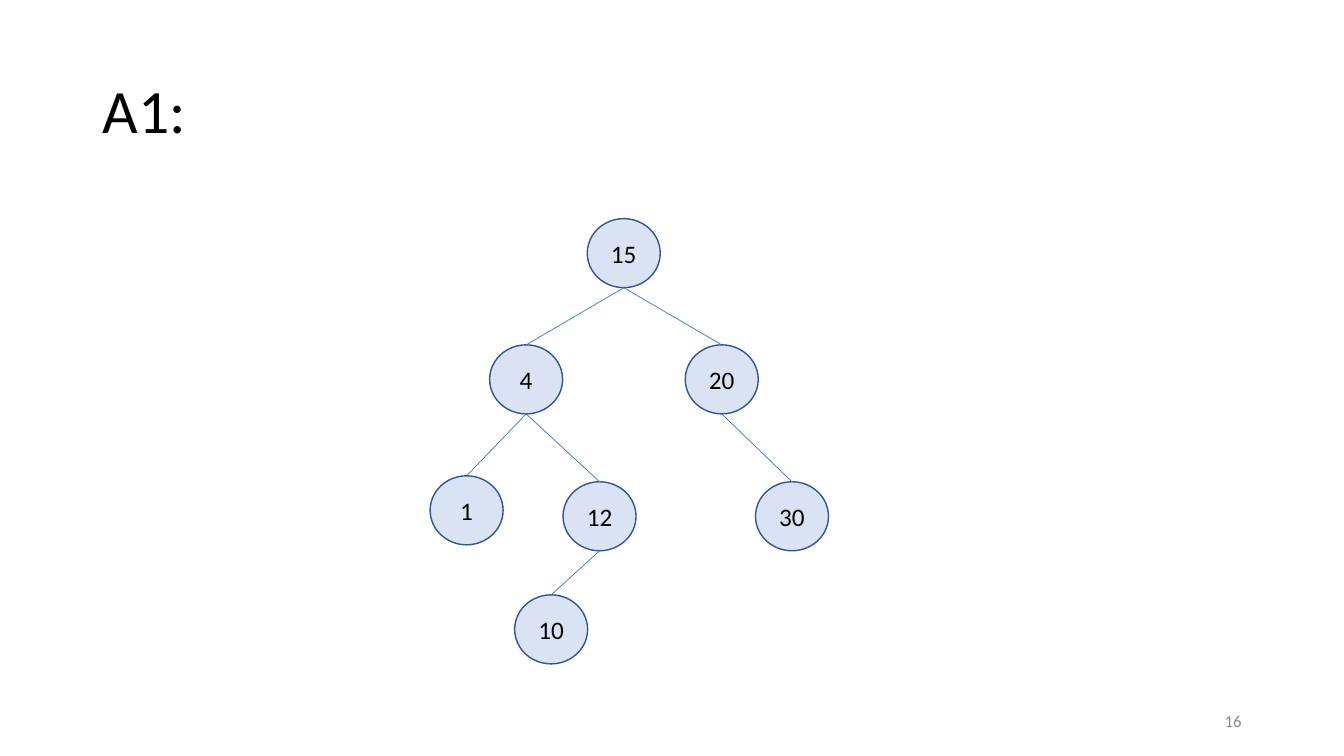
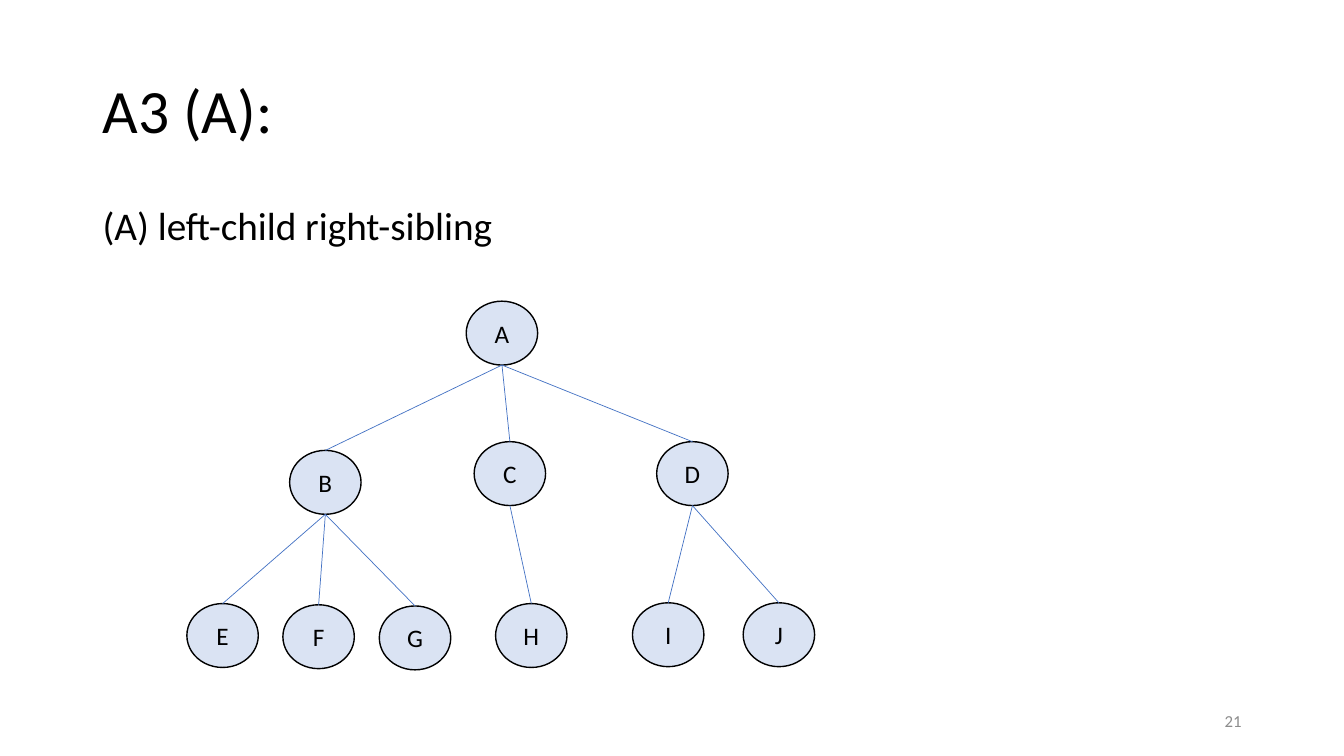
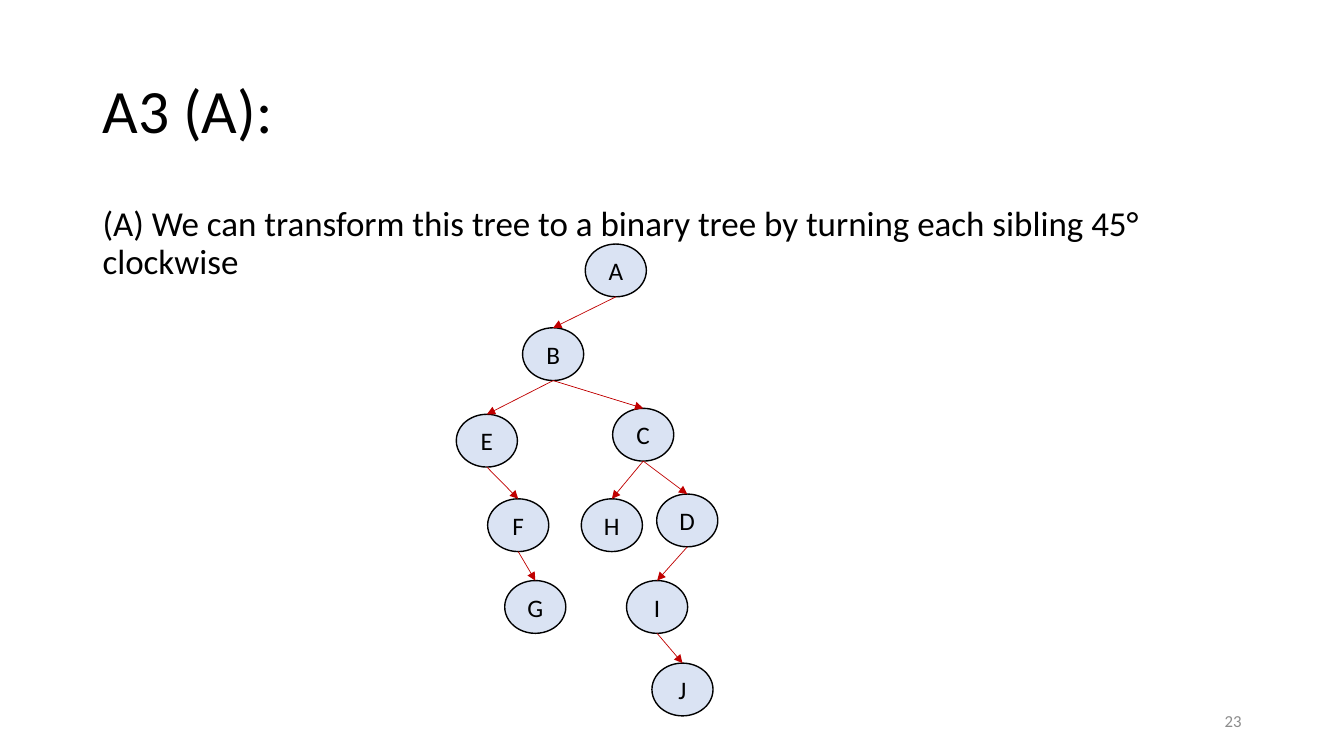
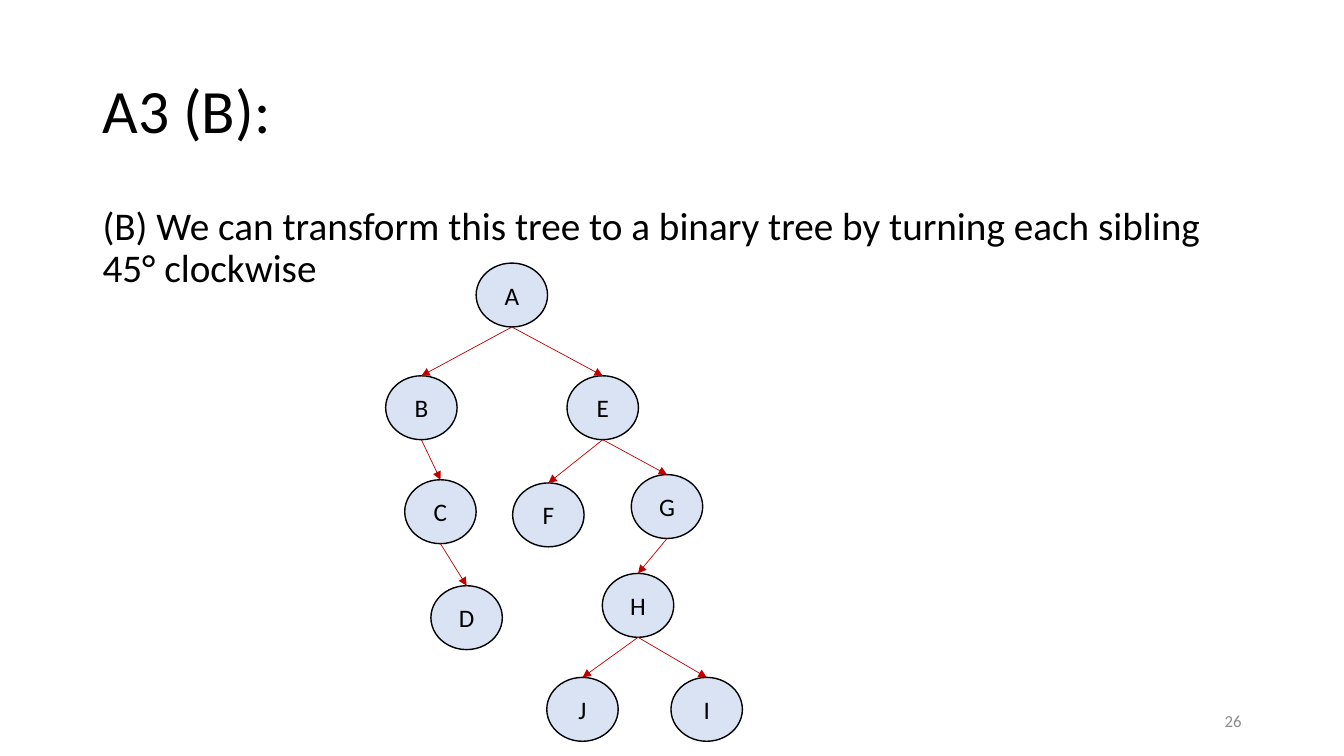
from dataclasses import dataclass

from lxml import etree
from pptx import Presentation
from pptx import util as u
from pptx.dml.color import RGBColor
from pptx.enum import shapes, text
from pptx.oxml import ns

FONT = "Calibri"
COLORS = {
    "text": "000000",
    "number": "8C8C8C",
    "node": "DAE3F3",
    "blue_outline": "325491",
    "black_outline": "000000",
    "blue_edge": "4472C4",
    "red_edge": "C00000",
}


@dataclass(frozen=True)
class Area:
    """A rectangle in centimetres."""
    left: float
    top: float
    width: float
    height: float

    def emu(self) -> tuple:
        return tuple(u.Cm(n) for n in (self.left, self.top, self.width, self.height))


@dataclass(frozen=True)
class Node:
    """A tree node placed by its top centre point, in centimetres."""
    label: str
    x: float
    top: float
    parent: str = ""


@dataclass(frozen=True)
class TreeStyle:
    width: float
    height: float
    outline: str = "black_outline"
    edge: str = "red_edge"
    arrows: bool = True


@dataclass(frozen=True)
class TreeSlide:
    title: str
    number: int
    style: TreeStyle
    nodes: tuple[Node, ...]
    body: str = ""
    body_size: int = 28


TITLE_AREA = Area(2.33, 1.01, 29.21, 3.68)
BODY_AREA = Area(2.33, 5.07, 29.21, 12.09)
NUMBER_AREA = Area(23.92, 17.66, 7.62, 1.01)

ROTATE = "We can transform this tree to a binary tree by turning each sibling 45° clockwise"

SLIDES = (
    TreeSlide("A1:", 16, TreeStyle(1.84, 1.74, "blue_outline", "blue_edge", False), (
        Node("15", 15.72, 5.51),
        Node("4", 13.26, 8.69, "15"),
        Node("1", 11.76, 11.99, "4"),
        Node("12", 15.11, 12.14, "4"),
        Node("10", 13.89, 14.99, "12"),
        Node("20", 18.19, 8.69, "15"),
        Node("30", 19.96, 12.14, "20"),
    )),
    TreeSlide("A3 (A):", 21, TreeStyle(1.8, 1.61, edge="blue_edge", arrows=False), (
        Node("A", 12.65, 7.59),
        Node("B", 8.2, 11.35, "A"),
        Node("E", 5.61, 15.21, "B"),
        Node("F", 8.03, 15.24, "B"),
        Node("G", 10.46, 15.27, "B"),
        Node("C", 12.85, 11.13, "A"),
        Node("H", 13.39, 15.21, "C"),
        Node("D", 17.45, 11.13, "A"),
        Node("I", 16.84, 15.19, "D"),
        Node("J", 19.63, 15.19, "D"),
    ), "(A) left-child right-sibling"),
    TreeSlide("A3 (A):", 23, TreeStyle(1.54, 1.33), (
        Node("A", 15.52, 6.15),
        Node("B", 13.94, 8.26, "A"),
        Node("E", 12.27, 10.44, "B"),
        Node("F", 13.06, 12.57, "E"),
        Node("G", 13.49, 14.63, "F"),
        Node("C", 16.21, 10.29, "B"),
        Node("H", 15.42, 12.57, "C"),
        Node("D", 17.32, 12.45, "C"),
        Node("I", 16.56, 14.63, "D"),
        Node("J", 17.2, 16.71, "I"),
    ), f"(A) {ROTATE}", 25),
    TreeSlide("A3 (B):", 26, TreeStyle(1.8, 1.61), (
        Node("A", 12.9, 6.63),
        Node("B", 10.62, 9.47, "A"),
        Node("C", 11.1, 12.09, "B"),
        Node("D", 11.76, 14.76, "C"),
        Node("E", 15.19, 9.47, "A"),
        Node("F", 13.82, 12.17, "E"),
        Node("G", 16.81, 11.96, "E"),
        Node("H", 16.08, 14.45, "G"),
        Node("J", 14.68, 17.07, "H"),
        Node("I", 17.81, 17.07, "H"),
    ), f"(B) {ROTATE}"),
)


def rgb(name: str) -> RGBColor:
    return RGBColor.from_string(COLORS[name])


def write(box, content: str, size: float, align=text.PP_ALIGN.LEFT,
          anchor=text.MSO_ANCHOR.MIDDLE, color: str = "text"):
    """Fill a shape with one formatted paragraph and return the paragraph."""
    frame = box.text_frame
    frame.text = content
    frame.word_wrap = True
    frame.auto_size = text.MSO_AUTO_SIZE.NONE
    frame.vertical_anchor = anchor
    para = frame.paragraphs[0]
    para.alignment = align
    para.space_before = u.Pt(0)
    for span in para.runs:
        span.font.name = FONT
        span.font.size = u.Pt(size)
        span.font.color.rgb = rgb(color)
    return para


def place(box, area: Area) -> None:
    box.left, box.top, box.width, box.height = area.emu()


def add_title(page, content: str) -> None:
    place(page.shapes.title, TITLE_AREA)
    write(page.shapes.title, content, 44).line_spacing = 0.9


def add_body(page, content: str, size: float) -> None:
    box = page.placeholders[1]
    place(box, BODY_AREA)
    para = write(box, content, size, anchor=text.MSO_ANCHOR.TOP)
    para.line_spacing = 0.9
    properties = para._p.get_or_add_pPr()
    properties.set("marL", "0")
    properties.set("indent", "0")
    etree.SubElement(properties, ns.qn("a:buNone"))


def add_number(page, number: int) -> None:
    box = page.shapes.add_textbox(*NUMBER_AREA.emu())
    write(box, str(number), 12, text.PP_ALIGN.RIGHT, color="number")


def add_node(page, node: Node, style: TreeStyle) -> None:
    area = Area(node.x - style.width / 2, node.top, style.width, style.height)
    circle = page.shapes.add_shape(shapes.MSO_SHAPE.OVAL, *area.emu())
    circle.shadow.inherit = False
    circle.fill.solid()
    circle.fill.fore_color.rgb = rgb("node")
    circle.line.color.rgb = rgb(style.outline)
    circle.line.width = u.Pt(1)
    frame = circle.text_frame
    frame.margin_left = frame.margin_right = 0
    write(circle, node.label, 18, text.PP_ALIGN.CENTER)


def add_edge(page, parent: Node, child: Node, style: TreeStyle) -> None:
    """Join the bottom of the parent to the top of the child."""
    ends = (parent.x, parent.top + style.height, child.x, child.top)
    edge = page.shapes.add_connector(
        shapes.MSO_CONNECTOR.STRAIGHT, *(u.Cm(n) for n in ends))
    edge.line.color.rgb = rgb(style.edge)
    edge.line.width = u.Pt(0.5)
    if style.arrows:
        line = edge.line._get_or_add_ln()
        etree.SubElement(line, ns.qn("a:tailEnd"), type="triangle")
    etree.SubElement(edge._element.spPr, ns.qn("a:effectLst"))


def add_tree(page, nodes: tuple[Node, ...], style: TreeStyle) -> None:
    by_label = {node.label: node for node in nodes}
    for node in nodes:
        add_node(page, node, style)
    for node in nodes:
        if node.parent:
            add_edge(page, by_label[node.parent], node, style)


def main() -> None:
    deck = Presentation()
    deck.slide_width, deck.slide_height = u.Cm(33.87), u.Cm(19.05)
    title_and_content, title_only = deck.slide_layouts[1], deck.slide_layouts[5]
    for item in SLIDES:
        page = deck.slides.add_slide(title_and_content if item.body else title_only)
        add_title(page, item.title)
        if item.body:
            add_body(page, item.body, item.body_size)
        add_tree(page, item.nodes, item.style)
        add_number(page, item.number)
    deck.save("out.pptx")


if __name__ == "__main__":
    main()
